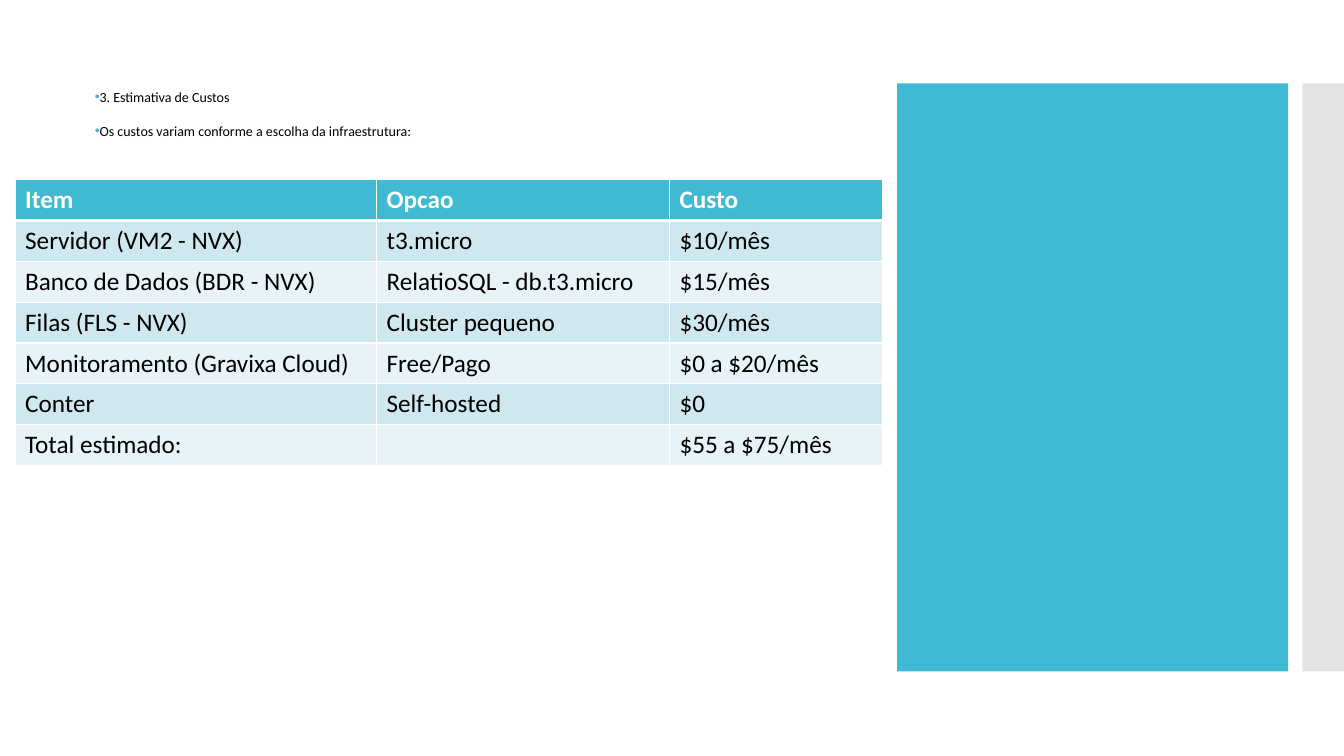
from dataclasses import dataclass

from lxml.etree import SubElement as Sub
from pptx import Presentation
from pptx.dml.color import RGBColor as Rgb
from pptx.enum.shapes import MSO_SHAPE as Kind
from pptx.enum.text import MSO_ANCHOR as Anchor, MSO_AUTO_SIZE as Auto, PP_ALIGN as Align
from pptx.oxml.ns import qn
from pptx.util import Pt


@dataclass(frozen=True)
class Theme:
    """Hold the colours, font and type sizes of the slide."""
    teal: str = "40BAD2"
    grey: str = "C8C8C8"
    white: str = "FFFFFF"
    black: str = "000000"
    bands: tuple = ("CFE7EE", "E8F3F7")
    font: str = "Calibri"
    small: float = 10
    large: float = 18


THEME = Theme()
TOP = 59.6
INTRO = ("3. Estimativa de Custos",
         "Os custos variam conforme a escolha da infraestrutura:")
COSTS = (
    ("Item", "Opcao", "Custo"),
    ("Servidor (VM2 - NVX)", "t3.micro", "$10/mês"),
    ("Banco de Dados (BDR - NVX)", "RelatioSQL - db.t3.micro", "$15/mês"),
    ("Filas (FLS - NVX)", "Cluster pequeno", "$30/mês"),
    ("Monitoramento (Gravixa Cloud)", "Free/Pago", "$0 a $20/mês"),
    ("Conter", "Self-hosted", "$0"),
    ("Total estimado:", "", "$55 a $75/mês"),
)


def write(para, text, size=THEME.large, color=THEME.black, bold=False):
    """Add a formatted run to a paragraph."""
    run = para.add_run()
    run.text = text
    font = run.font
    font.name, font.size, font.bold = THEME.font, Pt(size), bold
    font.color.rgb = Rgb.from_string(color)


def tint(node, color):
    """Add a solid fill to an XML node."""
    Sub(Sub(node, qn("a:solidFill")), qn("a:srgbClr"), val=color)


def panel(slide, left, width, color, alpha=None):
    """Draw a tall side panel."""
    box = slide.shapes.add_shape(Kind.RECTANGLE, Pt(left), Pt(TOP), Pt(width), Pt(420))
    box.shadow.inherit = False
    box.line.fill.background()
    box.fill.solid()
    box.fill.fore_color.rgb = Rgb.from_string(color)
    if alpha:
        tone = box.fill._xPr.find(".//" + qn("a:srgbClr"))
        Sub(tone, qn("a:alpha"), val=str(alpha * 1000))


def bullet(para):
    """Give a paragraph a coloured bullet."""
    props = para._p.get_or_add_pPr()
    props.set("marL", "0")
    props.set("indent", str(-Pt(14.4)))
    Sub(Sub(props, qn("a:buClr")), qn("a:srgbClr"), val=THEME.teal)
    Sub(props, qn("a:buFont"), typeface="Arial")
    Sub(props, qn("a:buChar"), char="•")


def intro(body, lines):
    """Fill the body placeholder with bulleted lines."""
    body.left, body.top, body.width, body.height = Pt(60.5), Pt(TOP), Pt(620), Pt(480)
    frame = body.text_frame
    frame.word_wrap, frame.auto_size = True, Auto.NONE
    frame.vertical_anchor = Anchor.TOP
    for num, line in enumerate(lines):
        para = frame.add_paragraph() if num else frame.paragraphs[0]
        para.alignment, para.line_spacing = Align.LEFT, 1.0
        para.space_before = Pt(12)
        bullet(para)
        write(para, line, size=THEME.small)


def border(cell, widths):
    """Draw white cell borders with the given widths."""
    props = cell._tc.get_or_add_tcPr()
    for side, width in zip("LRTB", widths):
        tint(Sub(props, qn("a:ln" + side), w=str(Pt(width))), THEME.white)


def table(slide, rows, widths):
    """Build the banded cost table."""
    high = 29.2
    frame = slide.shapes.add_table(len(rows), len(widths), Pt(10.8), Pt(128.2),
                                   Pt(sum(widths)), Pt(high * len(rows)))
    grid = frame.table
    for col, width in zip(grid.columns, widths):
        col.width = Pt(width)
    for num, row in enumerate(rows):
        grid.rows[num].height = Pt(high)
        head = num == 0
        back = THEME.teal if head else THEME.bands[(num - 1) % 2]
        for col, text in enumerate(row):
            cell = grid.cell(num, col)
            border(cell, (1, 1, 3 if num == 1 else 1, 3 if head else 1))
            cell.fill.solid()
            cell.fill.fore_color.rgb = Rgb.from_string(back)
            if text:
                write(cell.text_frame.paragraphs[0], text, bold=head,
                      color=THEME.white if head else THEME.black)


def main():
    """Build and save the slide."""
    deck = Presentation()
    deck.slide_width, deck.slide_height = Pt(960), Pt(540)
    slide = deck.slides.add_slide(deck.slide_layouts[0])
    title = slide.shapes.title._element
    title.getparent().remove(title)
    panel(slide, 640.8, 279.4, THEME.teal)
    intro(slide.placeholders[1], INTRO)
    panel(slide, 930.2, 29.8, THEME.grey, alpha=50)
    table(slide, COSTS, (258.2, 209.2, 152.2))
    deck.save("out.pptx")


if __name__ == "__main__":
    main()
